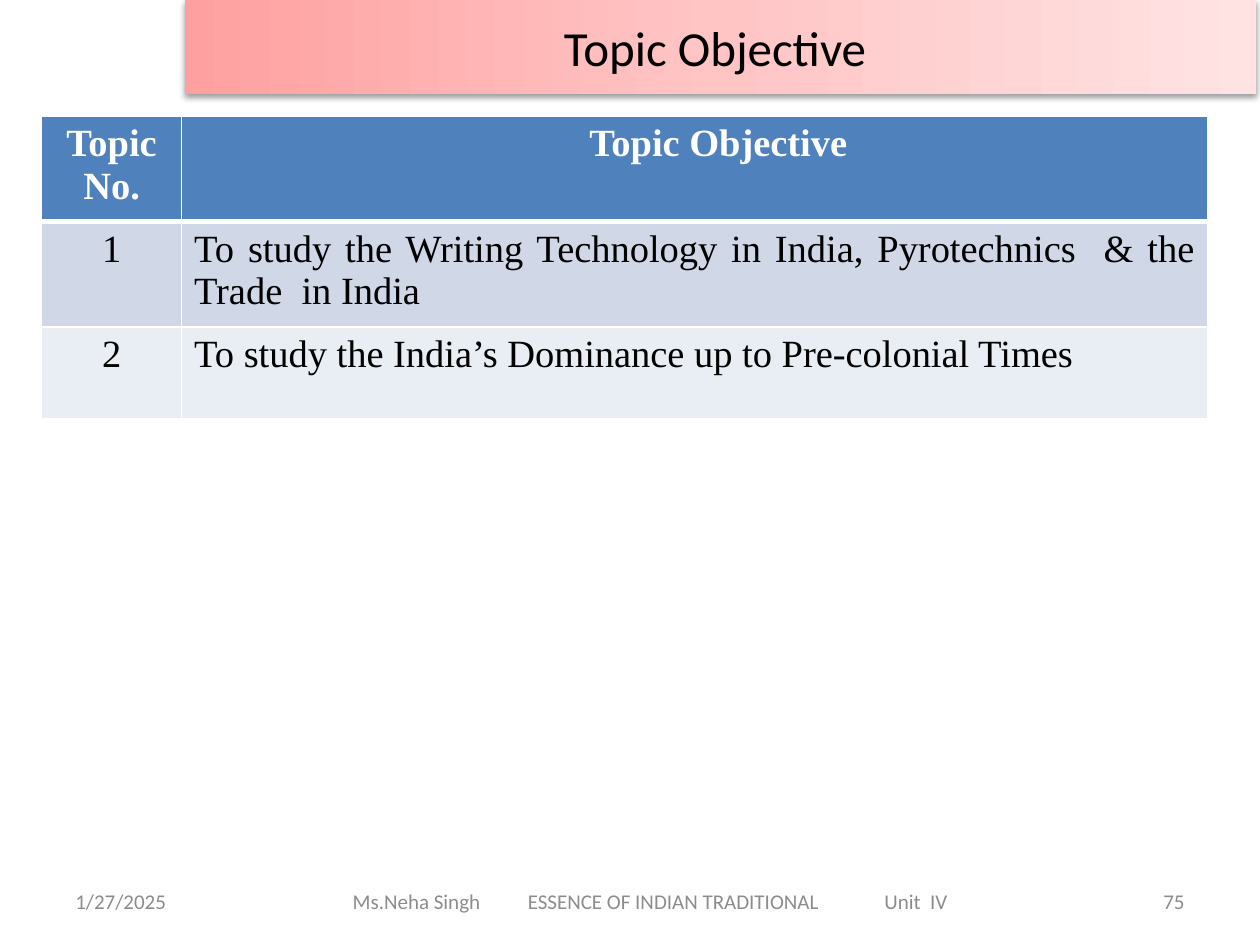
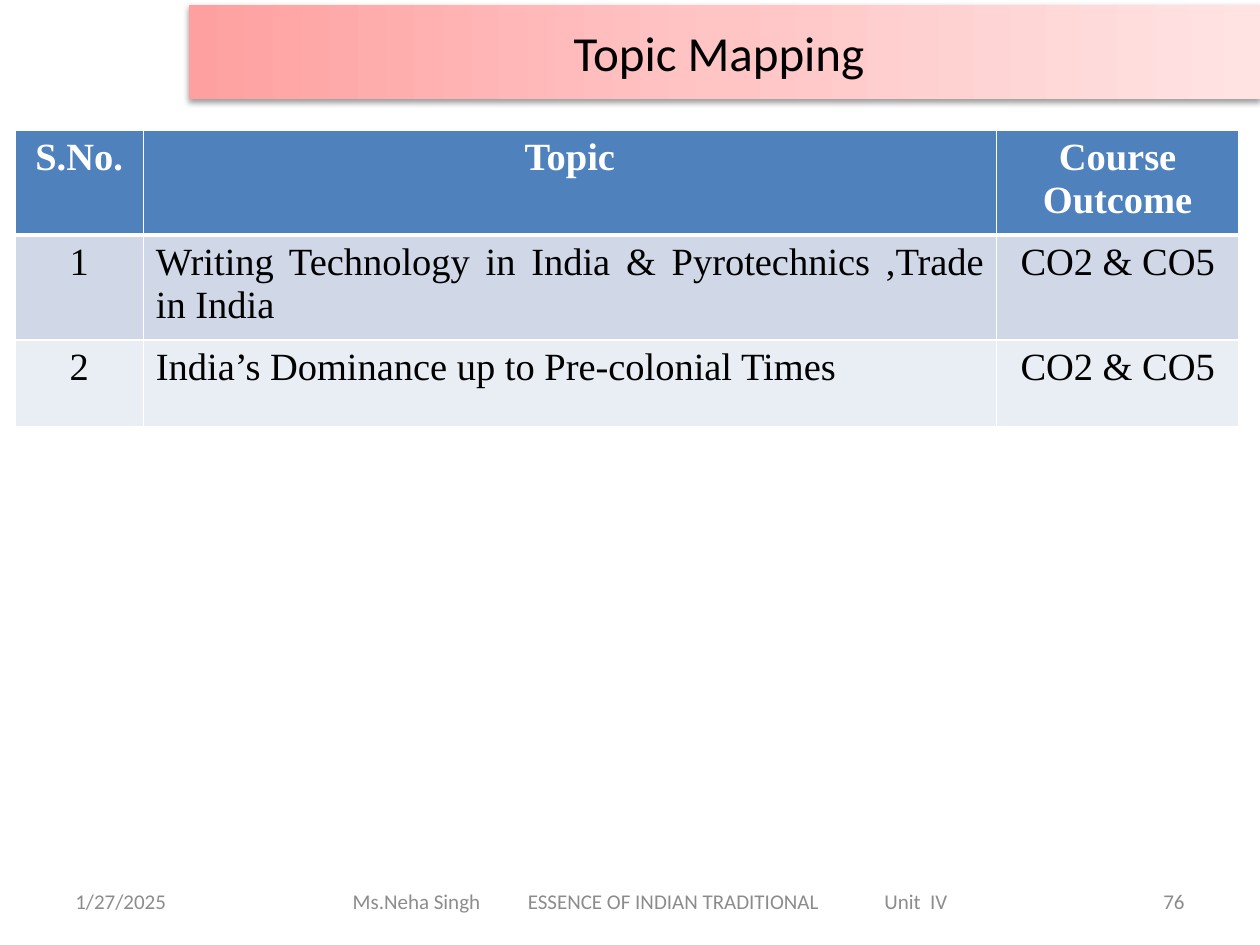
import copy
from dataclasses import dataclass

import pptx
import pptx.dml.color
import pptx.enum.shapes
import pptx.enum.text
import pptx.oxml
import pptx.oxml.ns
import pptx.util
from lxml import etree

Cm = pptx.util.Cm
Pt = pptx.util.Pt
RGBColor = pptx.dml.color.RGBColor
Align = pptx.enum.text.PP_ALIGN
Anchor = pptx.enum.text.MSO_ANCHOR
qn = pptx.oxml.ns.qn

WHITE = RGBColor(0xFF, 0xFF, 0xFF)
BLACK = RGBColor(0, 0, 0)
GREY = RGBColor(0x8C, 0x8C, 0x8C)
HEADER_BLUE = RGBColor(0x4F, 0x81, 0xBD)
ROW_FILLS = (RGBColor(0xD0, 0xD8, 0xE8), RGBColor(0xE9, 0xED, 0xF4))
BAND_STOPS = (
    (0, RGBColor(0xFF, 0xA0, 0xA0)),
    (0.5, RGBColor(0xFF, 0xC5, 0xC5)),
    (1, RGBColor(0xFF, 0xE3, 0xE3)),
)
SANS = "Calibri"
SERIF = "Times New Roman"


@dataclass(frozen=True)
class Band:
    text: str
    left: float
    top: float
    width: float = 21.59
    height: float = 1.9


@dataclass(frozen=True)
class Grid:
    left: float
    top: float
    cols: tuple[float, ...]
    rows: tuple[float, ...]
    aligns: tuple[Align, ...]
    cells: tuple[tuple[str, ...], ...]
    header_indent: float = 0


@dataclass(frozen=True)
class Footer:
    text: str
    left: float
    width: float
    align: Align
    indent: float = 0.25
    tabs: tuple[float, ...] = ()


@dataclass(frozen=True)
class Page:
    number: int
    band: Band
    grid: Grid


FOOTERS = (
    Footer("1/27/2025", 1.27, 5.92, Align.LEFT),
    Footer("Ms.Neha Singh\tESSENCE OF INDIAN TRADITIONAL\tUnit  IV",
           4.45, 17.35, Align.LEFT, 2.66, (3.53, 10.72)),
)

PAGES = (
    Page(
        75,
        Band("Topic Objective ", 3.73, 0),
        Grid(
            0.84, 2.34, (2.82, 20.68), (2.13, 1.85, 1.85),
            (Align.CENTER, Align.JUSTIFY),
            (
                ("Topic No.", "Topic Objective "),
                ("1", "To study the Writing Technology in India, Pyrotechnics  & the Trade  in India "),
                ("2", "To study the India’s Dominance up to Pre-colonial Times "),
            ),
            header_indent=1.16,
        ),
    ),
    Page(
        76,
        Band("Topic Mapping ", 3.81, 0.1),
        Grid(
            0.3, 2.62, (2.59, 17.2, 4.88), (2.06, 1.75, 1.75),
            (Align.CENTER, Align.JUSTIFY, Align.CENTER),
            (
                ("S.No.", "Topic", "Course Outcome"),
                ("1", "Writing Technology in India & Pyrotechnics ,Trade in India", "CO2 & CO5"),
                ("2", "India’s Dominance up to Pre-colonial Times ", "CO2 & CO5"),
            ),
        ),
    ),
)


def add_text(tf: pptx.text.text.TextFrame, text: str, align: Align, font: str,
             size: float, color: RGBColor, bold: bool = False) -> None:
    p = tf.paragraphs[0]
    p.alignment = align
    r = p.add_run()
    r.text = text
    r.font.name = font
    r.font.size = Pt(size)
    r.font.bold = bold
    r.font.color.rgb = color


def add_footer(s: pptx.slide.Slide, footer: Footer) -> None:
    sp = s.shapes.add_textbox(Cm(footer.left), Cm(17.65), Cm(footer.width), Cm(1.02))
    tf = sp.text_frame
    tf.word_wrap = True
    tf.vertical_anchor = Anchor.MIDDLE
    tf.margin_left = Cm(footer.indent)
    if footer.tabs:
        pPr = tf.paragraphs[0]._p.get_or_add_pPr()
        tab_list = etree.SubElement(pPr, qn("a:tabLst"))
        for pos in footer.tabs:
            etree.SubElement(tab_list, qn("a:tab"), pos=str(Cm(pos)), algn="l")
    add_text(tf, footer.text, footer.align, SANS, 12, GREY)


def add_band(s: pptx.slide.Slide, band: Band) -> None:
    sp = s.shapes.add_shape(pptx.enum.shapes.MSO_SHAPE.RECTANGLE, Cm(band.left),
                            Cm(band.top), Cm(band.width), Cm(band.height))
    sp.line.fill.background()
    sp.fill.gradient()
    sp.fill.gradient_angle = 0
    spPr = sp.element.spPr
    stop_list = spPr.find(".//" + qn("a:gsLst"))
    stop_list.append(copy.deepcopy(stop_list[0]))
    for stop, (position, color) in zip(sp.fill.gradient_stops, BAND_STOPS):
        stop.position = position
        stop.color.rgb = color
    sp.shadow.inherit = False
    shadow = etree.SubElement(spPr.find(qn("a:effectLst")), qn("a:outerShdw"),
                              blurRad=str(Pt(3.1)), dist=str(Pt(1.6)),
                              dir="5400000", rotWithShape="0")
    color = etree.SubElement(shadow, qn("a:srgbClr"), val=str(BLACK))
    etree.SubElement(color, qn("a:alpha"), val="38000")
    sp.text_frame.word_wrap = True
    sp.text_frame.vertical_anchor = Anchor.MIDDLE
    add_text(sp.text_frame, band.text, Align.CENTER, SANS, 28, BLACK)


def set_borders(cell: pptx.table._Cell, top: float, bottom: float) -> None:
    tcPr = cell._tc.get_or_add_tcPr()
    widths = {"a:lnL": 1, "a:lnR": 1, "a:lnT": top, "a:lnB": bottom}
    for i, (tag, width) in enumerate(widths.items()):
        ln = pptx.oxml.xmlchemy.OxmlElement(tag)
        ln.set("w", str(Pt(width)))
        fill = etree.SubElement(ln, qn("a:solidFill"))
        etree.SubElement(fill, qn("a:srgbClr"), val=str(WHITE))
        tcPr.insert(i, ln)


def add_grid(s: pptx.slide.Slide, grid: Grid) -> None:
    table = s.shapes.add_table(len(grid.rows), len(grid.cols), Cm(grid.left), Cm(grid.top),
                               Cm(sum(grid.cols)), Cm(sum(grid.rows))).table
    table.horz_banding = False
    for column, width in zip(table.columns, grid.cols):
        column.width = Cm(width)
    for i, (row, height) in enumerate(zip(table.rows, grid.rows)):
        row.height = Cm(height)
        header = i == 0
        for j, (cell, text) in enumerate(zip(row.cells, grid.cells[i])):
            cell.fill.solid()
            cell.fill.fore_color.rgb = HEADER_BLUE if header else ROW_FILLS[(i - 1) % 2]
            set_borders(cell, 3 if i == 1 else 1, 3 if header else 1)
            if header and j == 1:
                cell.margin_left = Cm(0.25 + grid.header_indent)
            add_text(cell.text_frame, text, Align.CENTER if header else grid.aligns[j],
                     SERIF, 22, WHITE if header else BLACK, header)


def add_page(prs: pptx.presentation.Presentation, page: Page) -> None:
    s = prs.slides.add_slide(prs.slide_layouts[6])
    number = Footer(str(page.number), 18.21, 5.92, Align.RIGHT)
    for footer in (*FOOTERS, number):
        add_footer(s, footer)
    add_band(s, page.band)
    add_grid(s, page.grid)


def main() -> None:
    prs = pptx.Presentation()
    prs.slide_width = Cm(25.4)
    prs.slide_height = Cm(19.05)
    for page in PAGES:
        add_page(prs, page)
    prs.save("out.pptx")


if __name__ == "__main__":
    main()
